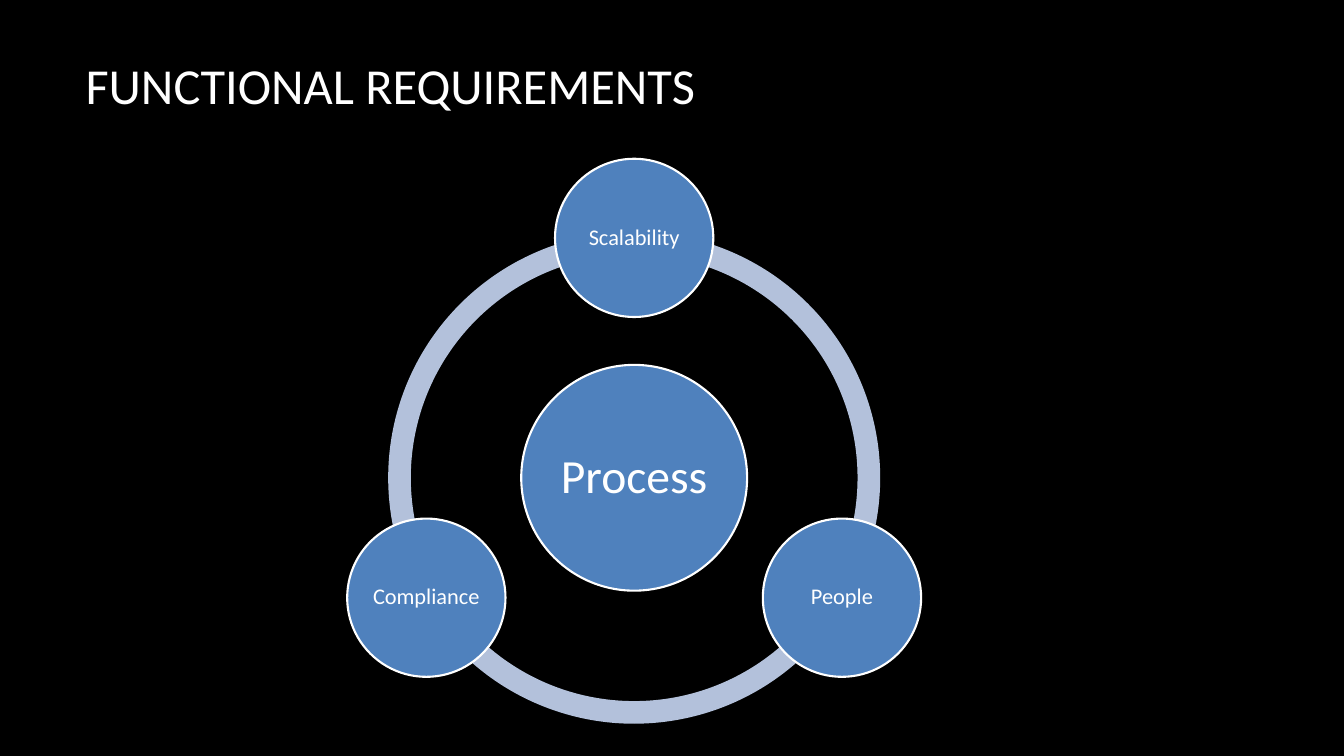
import math

from pptx import Presentation
from pptx import util as u
from pptx.dml.color import RGBColor
from pptx.enum import shapes, text

RING_CENTER = (6.29, 4.74)
RING_SIZE = 4.88
ORBIT_RADIUS = 2.38
ARC_BOUNDS = (18, 90, 162)
REQUIREMENTS = ("Scalability", "People", "Compliance")


def color(hex_code):
    return RGBColor.from_string(hex_code)


def write(frame, words, size, align=text.PP_ALIGN.LEFT, inset=None,
          spacing=1.0, wrap=True):
    """Fill a text frame with one vertically centred paragraph."""
    frame.word_wrap = wrap
    frame.vertical_anchor = text.MSO_ANCHOR.MIDDLE
    if inset is not None:
        frame.margin_left = frame.margin_right = u.Inches(inset)
        frame.margin_top = frame.margin_bottom = u.Inches(inset)
    paragraph = frame.paragraphs[0]
    paragraph.alignment = align
    paragraph.line_spacing = spacing
    run = paragraph.add_run()
    run.text = words
    run.font.name = Diagram.font
    run.font.size = u.Pt(size)
    run.font.color.rgb = color(Diagram.ink)


class Diagram:
    font = "Calibri"
    ink = "FFFFFF"
    background = "000000"
    node_fill = "4F81BD"
    ring_fill = "B3C1DB"

    def __init__(self, slide):
        self.slide = slide
        slide.background.fill.solid()
        slide.background.fill.fore_color.rgb = color(self.background)

    def title(self, words, left, top, width, height):
        box = self.slide.shapes.add_textbox(*map(u.Inches, (left, top, width, height)))
        write(box.text_frame, words, 36)

    def round_shape(self, kind, center, size, fill):
        """Add a filled shape with a square frame around its center."""
        x, y = center
        shape = self.slide.shapes.add_shape(
            kind, u.Inches(x - size / 2), u.Inches(y - size / 2),
            u.Inches(size), u.Inches(size))
        shape.shadow.inherit = False
        shape.fill.solid()
        shape.fill.fore_color.rgb = color(fill)
        return shape

    def arc(self, start, end):
        arc = self.round_shape(shapes.MSO_SHAPE.BLOCK_ARC, RING_CENTER,
                               RING_SIZE, self.ring_fill)
        arc.line.fill.background()
        # One degree is 60000 units, and an adjustment of 1 is 100000 units
        arc.adjustments[0] = start * 0.6
        arc.adjustments[1] = end * 0.6
        arc.adjustments[2] = 0.046

    def node(self, words, center, diameter, size, inset):
        node = self.round_shape(shapes.MSO_SHAPE.OVAL, center, diameter, self.node_fill)
        node.line.color.rgb = color(self.ink)
        node.line.width = u.Pt(1.5)
        write(node.text_frame, words, size, align=text.PP_ALIGN.CENTER,
              inset=inset, spacing=0.9, wrap=False)


def main():
    deck = Presentation()
    deck.slide_width = u.Inches(13.33)
    deck.slide_height = u.Inches(7.5)
    diagram = Diagram(deck.slides.add_slide(deck.slide_layouts[6]))

    diagram.title("FUNCTIONAL REQUIREMENTS", 0.75, 0.14, 11.08, 1.39)
    for start, end in zip(ARC_BOUNDS, ARC_BOUNDS[1:] + ARC_BOUNDS[:1]):
        diagram.arc(start, end)

    diagram.node("Process", RING_CENTER, 2.24, 34, 0.05)
    center_x, center_y = RING_CENTER
    for index, requirement in enumerate(REQUIREMENTS):
        angle = math.radians(-90 + index * 360 / len(REQUIREMENTS))
        position = (center_x + ORBIT_RADIUS * math.cos(angle),
                    center_y + ORBIT_RADIUS * math.sin(angle))
        diagram.node(requirement, position, 1.57, 16, 0.02)

    deck.save("out.pptx")


if __name__ == "__main__":
    main()
